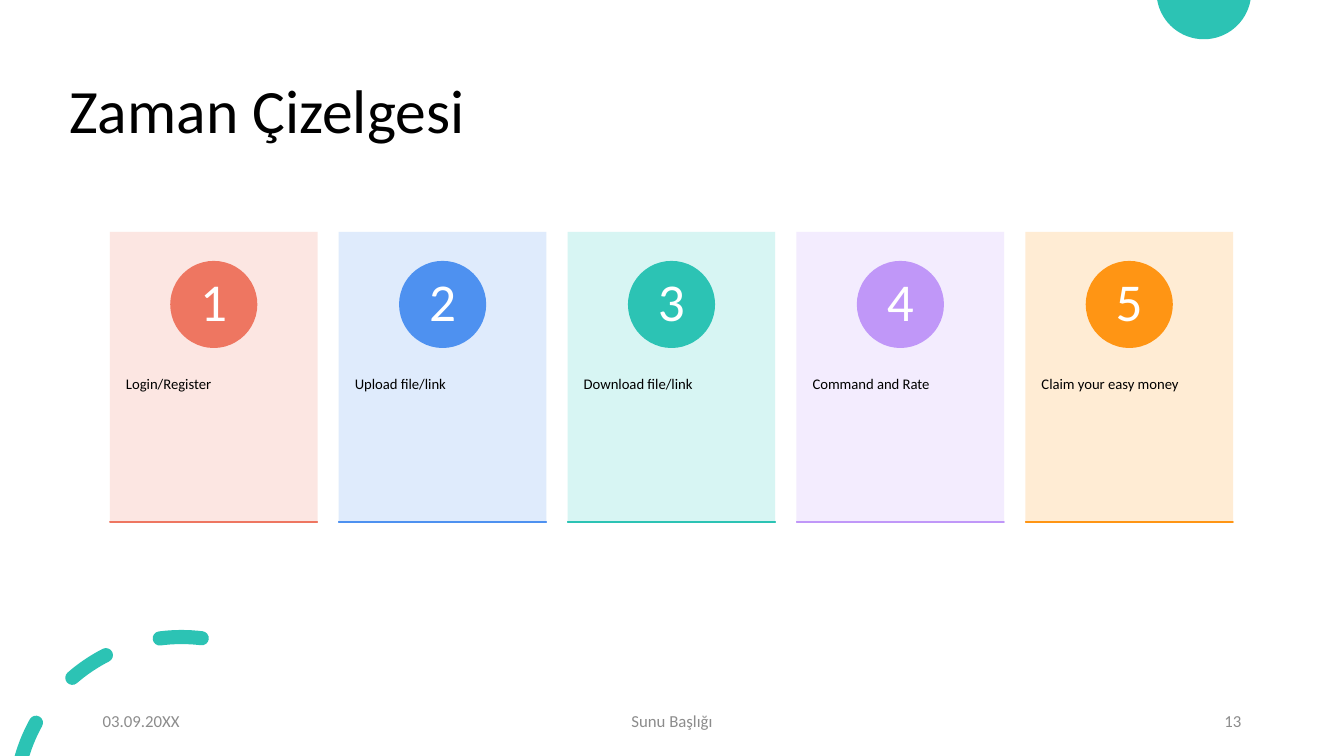
import math

from lxml import etree
from pptx import Presentation
from pptx import util as u
from pptx.dml.color import RGBColor
from pptx.enum import shapes, text
from pptx.oxml import ns

WIDTH, HEIGHT = 13.33, 7.5
FONT = "Calibri"
BLACK = RGBColor(0x00, 0x00, 0x00)
WHITE = RGBColor(0xFF, 0xFF, 0xFF)
GREY = RGBColor(0x8C, 0x8C, 0x8C)
CORAL = RGBColor(0xEE, 0x76, 0x61)
BLUE = RGBColor(0x4E, 0x91, 0xF0)
TEAL = RGBColor(0x2C, 0xC3, 0xB4)
VIOLET = RGBColor(0xC0, 0x97, 0xF8)
ORANGE = RGBColor(0xFF, 0x95, 0x14)
PALE_CORAL = RGBColor(0xFC, 0xE4, 0xDF)
PALE_BLUE = RGBColor(0xDC, 0xE9, 0xFC)
PALE_TEAL = RGBColor(0xD3, 0xF5, 0xF2)
PALE_VIOLET = RGBColor(0xF2, 0xEA, 0xFE)
PALE_ORANGE = RGBColor(0xFF, 0xEA, 0xD0)

STEPS = [
    ("Login/Register", CORAL, PALE_CORAL),
    ("Upload file/link", BLUE, PALE_BLUE),
    ("Download file/link", TEAL, PALE_TEAL),
    ("Command and Rate", VIOLET, PALE_VIOLET),
    ("Claim your easy money", ORANGE, PALE_ORANGE),
]


def inches(box):
    return [u.Inches(length) for length in box]


def add_label(parent, box, words, size, color, align=text.PP_ALIGN.LEFT,
              anchor=text.MSO_ANCHOR.MIDDLE, insets=(0.1, 0.05), spacing=1.0):
    frame = parent.add_textbox(*inches(box)).text_frame
    frame.word_wrap = True
    frame.vertical_anchor = anchor
    frame.margin_left = frame.margin_right = u.Inches(insets[0])
    frame.margin_top = frame.margin_bottom = u.Inches(insets[1])
    paragraph = frame.paragraphs[0]
    paragraph.alignment = align
    paragraph.line_spacing = spacing
    run = paragraph.add_run()
    run.text = words
    run.font.name = FONT
    run.font.size = u.Pt(size)
    run.font.color.rgb = color


def paint(shape, color):
    shape.shadow.inherit = False
    shape.fill.solid()
    shape.fill.fore_color.rgb = color
    shape.line.fill.background()
    return shape


def add_filled(parent, kind, box, color):
    return paint(parent.add_shape(kind, *inches(box)), color)


def arc(center, radius, start, end, curves=1):
    def place(angle, tangent=0):
        cos, sin = math.cos(angle), math.sin(angle)
        return (center[0] + radius * (cos - tangent * sin),
                center[1] - radius * (sin + tangent * cos))

    turn = math.radians(end - start) / curves
    handle = 4 / 3 * math.tan(turn / 4)
    points = [place(math.radians(start))]
    for index in range(curves):
        angle = math.radians(start) + index * turn
        points += [place(angle, handle), place(angle + turn, -handle), place(angle + turn)]
    return points


def join(arcs):
    points = list(arcs[0])
    for following in arcs[1:]:
        if math.dist(points[-1], following[0]) > 0.01:
            points += [points[-1], following[0], following[0]]
        points += following[1:]
    return [tuple(inches(point)) for point in points]


def add_outline(slide, contours):
    builder = slide.shapes.build_freeform(*contours[0][0])
    for index, points in enumerate(contours):
        if index:
            builder.move_to(*points[0])
        builder.add_line_segments(points[1:], close=True)
    outline = paint(builder.convert_to_shape(), TEAL)
    track = outline._element.find(".//" + ns.qn("a:path"))
    legs = track.findall(ns.qn("a:lnTo"))
    for first in range(0, len(legs), 3):
        curve = etree.Element(ns.qn("a:cubicBezTo"))
        track.insert(track.index(legs[first]), curve)
        for leg in legs[first:first + 3]:
            curve.append(leg[0])
            track.remove(leg)


def add_dome(slide, center, radius):
    add_outline(slide, [join([arc(center, radius, 190, 350, 2)])])


def add_dashed_ring(slide, center, radius, half_width, dashes):
    contours = []
    for start, outer_end, inner_end in dashes:
        head, tail = (arc(center, radius, angle, angle)[0] for angle in (start, outer_end))
        sides = [arc(center, radius + half_width, start, outer_end)]
        if outer_end == inner_end:
            sides.append(arc(tail, half_width, outer_end, outer_end + 180, 2))
        sides.append(arc(center, radius - half_width, inner_end, start))
        sides.append(arc(head, half_width, start + 180, start + 360, 2))
        contours.append(join(sides))
    add_outline(slide, contours)


def add_step(slide, box, number, words, strong, pale):
    left, top, width, height = box
    card = slide.shapes.add_group_shape().shapes

    panel = add_filled(card, shapes.MSO_SHAPE.RECTANGLE, box, pale)
    tint = panel.fill._xPr.find(".//" + ns.qn("a:srgbClr"))
    etree.SubElement(tint, ns.qn("a:alpha")).set("val", "90000")

    add_label(card, (left, top + height * 0.5, width, height * 0.475), words, 10.5,
              BLACK, anchor=text.MSO_ANCHOR.TOP, insets=(0.16, 0), spacing=0.9)

    diameter = height * 0.3
    disc = (left + (width - diameter) / 2, top + height * 0.1, diameter, diameter)
    add_filled(card, shapes.MSO_SHAPE.OVAL, disc, strong)
    inset = diameter * 0.15
    add_label(card, (disc[0] + inset, disc[1] + inset, diameter * 0.7, diameter * 0.7),
              str(number), 38, WHITE, text.PP_ALIGN.CENTER, insets=(0.07, 0.01),
              spacing=0.9)

    base = add_filled(card, shapes.MSO_SHAPE.RECTANGLE, (left, top + height, width, 0), strong)
    base.line.color.rgb = strong
    base.line.width = u.Pt(1)


def add_timeline(slide, box):
    left, top, width, height = box
    gap = 0.21
    column = (width - gap * (len(STEPS) - 1)) / len(STEPS)
    for index, step in enumerate(STEPS):
        add_step(slide, (left + index * (column + gap), top, column, height),
                 index + 1, *step)


def add_footer(slide, box):
    left, top, width, height = box
    side, middle = 3, 4.5
    parts = [
        ("03.09.20XX", left, side, text.PP_ALIGN.LEFT),
        ("Sunu Başlığı", left + (width - middle) / 2, middle, text.PP_ALIGN.CENTER),
        ("13", left + width - side, side, text.PP_ALIGN.RIGHT),
    ]
    for words, part_left, part_width, align in parts:
        add_label(slide.shapes, (part_left, top, part_width, height), words, 12, GREY, align)


def main():
    deck = Presentation()
    deck.slide_width, deck.slide_height = inches((WIDTH, HEIGHT))
    slide = deck.slides.add_slide(deck.slide_layouts[6])
    add_dome(slide, (11.94, -0.08), 0.47)
    add_dashed_ring(slide, (1.8, 7.97), 1.65, 0.07,
                    [(151, 164.1, 162.7), (117, 131, 131), (83, 97.5, 97.5)])
    add_label(slide.shapes, (0.59, 0.4, 11.5, 1.45), "Zaman Çizelgesi", 44, BLACK,
              spacing=0.9)
    add_timeline(slide, (1.09, 2.3, 11.14, 2.88))
    add_footer(slide, (0.92, 6.95, 11.49, 0.4))
    deck.save("out.pptx")


if __name__ == "__main__":
    main()
